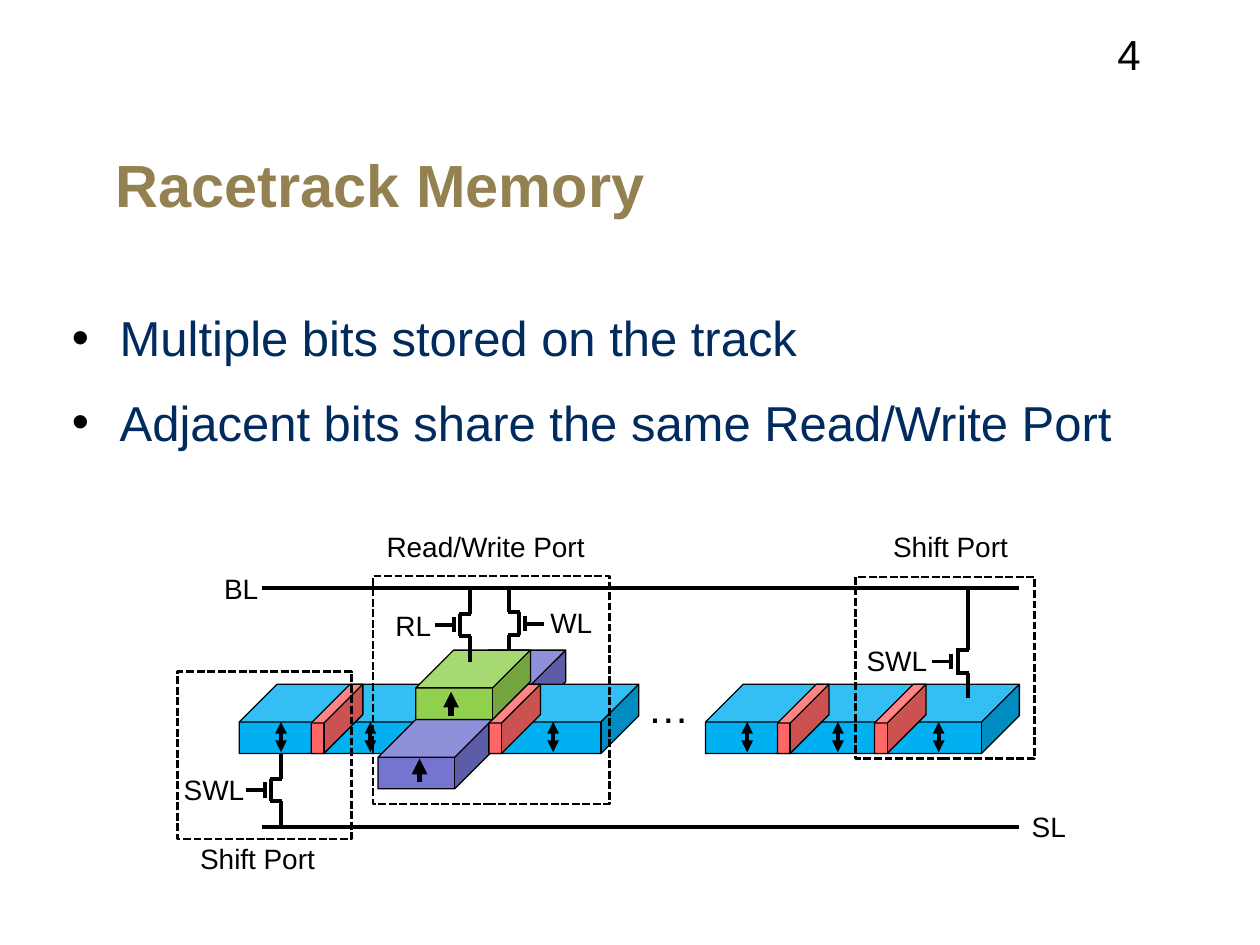
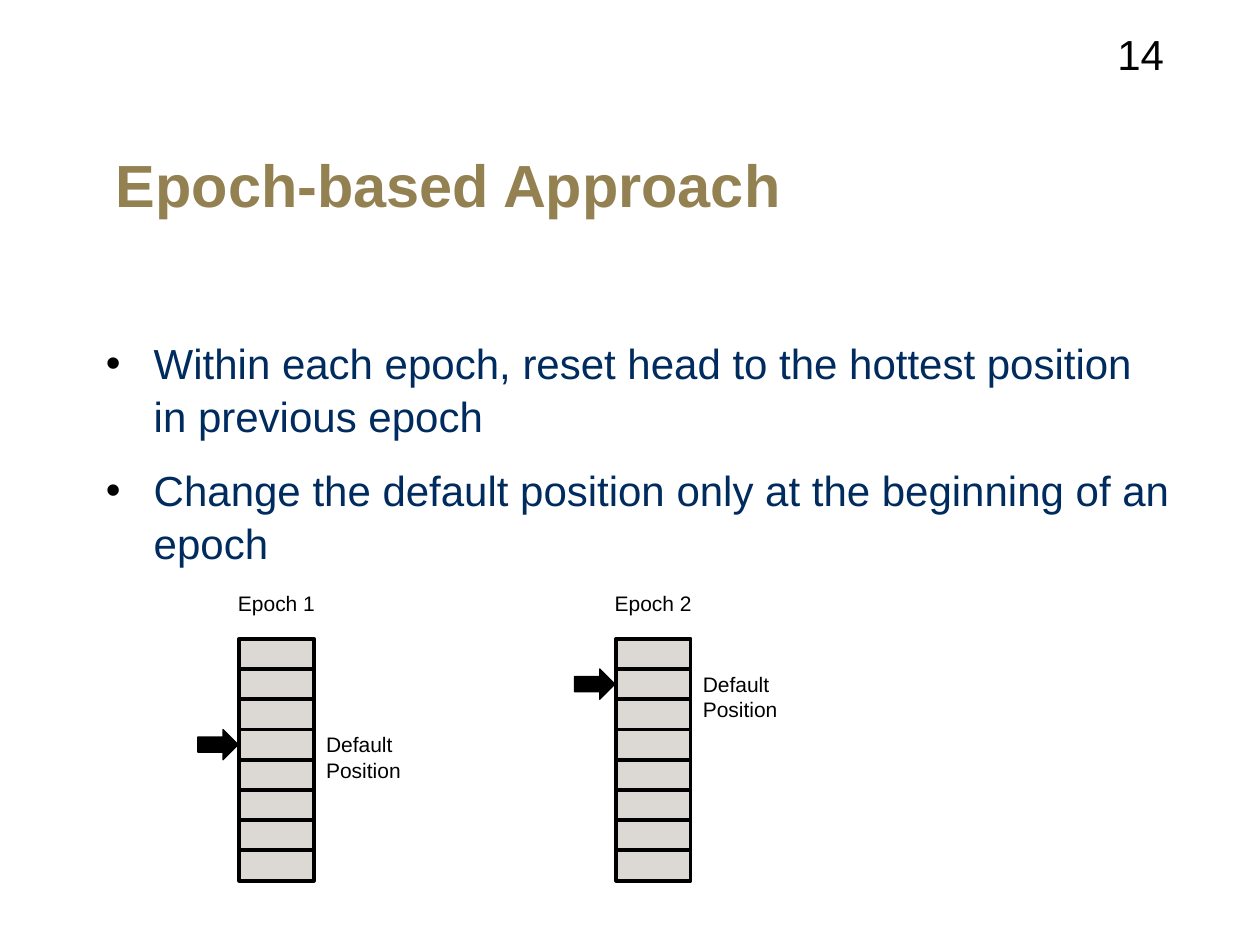
from lxml import etree
from pptx import Presentation
from pptx.dml.color import RGBColor
from pptx.enum import dml, shapes, text
from pptx.oxml import ns
from pptx.util import Inches, Pt

FONT = "Arial"
BLACK = RGBColor(0x00, 0x00, 0x00)
GOLD = RGBColor(0x94, 0x81, 0x51)
NAVY = RGBColor(0x00, 0x2B, 0x5E)
TRACK_BLUE = RGBColor(0x00, 0xB0, 0xF0)
WALL_RED = RGBColor(0xFF, 0x66, 0x66)
PIN_PURPLE = RGBColor(0x75, 0x75, 0xD1)
FREE_GREEN = RGBColor(0x92, 0xD0, 0x50)
CELL_GRAY = RGBColor(0xDC, 0xD8, 0xD4)

BLOCK_HEIGHT = 0.55
CELL_WIDTH, CELL_HEIGHT, CELL_COUNT = 0.59, 0.24, 8


def add_xml(parent, tag, **attributes):
    return etree.SubElement(parent, ns.qn(tag), attributes)


class Deck:
    """Holds the shared style and the slide being drawn."""

    def __init__(self):
        self.presentation = Presentation()
        self.presentation.slide_width = Inches(10)
        self.presentation.slide_height = Inches(7.5)
        self.slide = None

    def start_slide(self, heading, number):
        layout = self.presentation.slide_layouts[1]
        self.slide = self.presentation.slides.add_slide(layout)
        title = self.slide.shapes.title
        self.place(title, 0.82, 1, 8.67, 0.92)
        frame = title.text_frame
        frame.vertical_anchor = text.MSO_ANCHOR.MIDDLE
        frame.auto_size = text.MSO_AUTO_SIZE.NONE
        frame.paragraphs[0].alignment = text.PP_ALIGN.LEFT
        self.add_run(frame.paragraphs[0], heading, 34, GOLD, bold=True)
        self.label(str(number), 8.77, 0.18, 1.72, 0.5, size=24)

    @staticmethod
    def place(shape, left, top, width, height):
        shape.left, shape.top = Inches(left), Inches(top)
        shape.width, shape.height = Inches(width), Inches(height)

    @staticmethod
    def add_run(paragraph, words, size, color, bold=False):
        run = paragraph.add_run()
        run.text = words
        run.font.name, run.font.size, run.font.bold = FONT, Pt(size), bold
        run.font.color.rgb = color

    def bullets(self, items, left, top, height, size, before):
        body = self.slide.placeholders[1]
        self.place(body, left, top, 8.67, height)
        frame = body.text_frame
        frame.auto_size = text.MSO_AUTO_SIZE.NONE
        for index, item in enumerate(items):
            paragraph = frame.add_paragraph() if index else frame.paragraphs[0]
            self.add_run(paragraph, item, size, NAVY)
            properties = paragraph._p.get_or_add_pPr()
            properties.set("marL", str(Inches(0.38)))
            properties.set("indent", str(-Inches(0.38)))
            bullet_color = add_xml(properties, "a:buClr")
            add_xml(bullet_color, "a:srgbClr", val=str(BLACK))
            add_xml(properties, "a:buFont", typeface=FONT)
            add_xml(properties, "a:buChar", char="•")
            paragraph.line_spacing = 1.05
            paragraph.space_before, paragraph.space_after = Pt(before), Pt(6)

    def label(self, words, left, top, width, height=0.37, size=16):
        box = self.slide.shapes.add_textbox(
            Inches(left), Inches(top), Inches(width), Inches(height))
        frame = box.text_frame
        frame.word_wrap = False
        frame.auto_size = text.MSO_AUTO_SIZE.SHAPE_TO_FIT_TEXT
        self.add_run(frame.paragraphs[0], words, size, BLACK)

    def shape(self, preset, left, top, width, height, fill=None, line=0.75):
        shape = self.slide.shapes.add_shape(
            preset, Inches(left), Inches(top), Inches(width), Inches(height))
        shape.shadow.inherit = False
        if fill is None:
            shape.fill.background()
        else:
            shape.fill.solid()
            shape.fill.fore_color.rgb = fill
        shape.line.color.rgb = BLACK
        shape.line.width = Pt(line)
        return shape

    def block(self, left, top, width, fill, depth=0.545):
        cube = self.shape(shapes.MSO_SHAPE.CUBE, left, top, width, BLOCK_HEIGHT, fill)
        cube.adjustments[0] = depth

    def wall(self, left):
        self.block(left, 5.43, 0.41, WALL_RED, depth=0.754)

    def port_frame(self, left, top, width, height):
        frame = self.shape(shapes.MSO_SHAPE.RECTANGLE, left, top, width, height, line=1.5)
        frame.line.dash_style = dml.MSO_LINE.SQUARE_DOT

    def line(self, x1, y1, x2, y2, width=2.25, ends=()):
        wire = self.slide.shapes.add_connector(
            shapes.MSO_CONNECTOR.STRAIGHT,
            Inches(x1), Inches(y1), Inches(x2), Inches(y2))
        wire.line.color.rgb = BLACK
        wire.line.width = Pt(width)
        outline = wire.line._get_or_add_ln()
        for end in ends:
            add_xml(outline, end, type="triangle")
        add_xml(wire._element.spPr, "a:effectLst")

    def bit(self, x):
        self.line(x, 5.97, x, 5.73, ends=("a:headEnd", "a:tailEnd"))

    def fixed_bit(self, x, bottom):
        self.line(x, bottom, x, bottom - 0.19, width=3, ends=("a:tailEnd",))

    def transistor(self, x, top, channel_top, bottom, side=-1):
        """Draw a vertical transistor with its gate left (-1) or right (1)."""
        channel_bottom = channel_top + 0.18
        channel, gate = x + side * 0.08, x + side * 0.13
        middle = channel_top + 0.09
        self.line(x, top, x, channel_top)
        self.line(x, bottom, x, channel_bottom)
        for y in (channel_top, channel_bottom):
            self.line(channel + side * 0.01, y, x - side * 0.01, y)
        self.line(channel, channel_top, channel, channel_bottom)
        self.line(gate, middle - 0.06, gate, middle + 0.06)
        self.line(gate, middle, gate + side * 0.15, middle)

    def epoch(self, name, left, default_row):
        """Draw one epoch's column of cells and mark its default position."""
        top = 5.07
        for row in range(CELL_COUNT):
            self.shape(shapes.MSO_SHAPE.RECTANGLE, left, top + row * CELL_HEIGHT,
                       CELL_WIDTH, CELL_HEIGHT, CELL_GRAY, line=2.25)
        head_top = top + default_row * CELL_HEIGHT
        self.shape(shapes.MSO_SHAPE.RIGHT_ARROW, left - 0.33, head_top,
                   0.32, CELL_HEIGHT, BLACK)
        self.label("Default Position", left + CELL_WIDTH, head_top - 0.03, 1.36, 0.3, 12)
        self.label(name, left - 0.11, 4.64, 0.81, 0.3, 12)


def racetrack_slide(deck):
    deck.start_slide("Racetrack Memory", 4)
    deck.bullets(["Multiple bits stored on the track",
                  "Adjacent bits share the same Read/Write Port"],
                 0.47, 2.37, 1.68, size=28, before=7)

    # Left track, crossed by the fixed layers
    deck.block(3.58, 5.16, 0.91, PIN_PURPLE)
    deck.block(1.9, 5.43, 3.17, TRACK_BLUE)
    for x in (2.23, 2.94, 4.39):
        deck.bit(x)
    deck.block(3, 5.71, 0.91, PIN_PURPLE)
    deck.fixed_bit(3.33, 6.21)
    for left in (3.88, 2.47):
        deck.wall(left)

    # Right track
    deck.block(5.6, 5.43, 2.49, TRACK_BLUE)
    for left in (6.94, 6.17):
        deck.wall(left)
    for x in (5.93, 6.65, 7.45):
        deck.bit(x)

    # Bit line, source line and access transistors
    for y in (4.67, 6.56):
        deck.line(2.08, y, 8.09, y)
    deck.transistor(2.23, 5.98, 6.18, 6.56)
    deck.transistor(7.68, 4.67, 5.16, 5.54)
    deck.transistor(4.04, 4.67, 4.86, 5.24, side=1)
    deck.block(3.3, 5.16, 0.91, FREE_GREEN)
    deck.fixed_bit(3.58, 5.68)
    deck.transistor(3.73, 4.67, 4.87, 5.25)

    # Port outlines and labels
    deck.port_frame(1.41, 5.33, 1.38, 1.33)
    deck.port_frame(6.79, 4.58, 1.42, 1.44)
    deck.port_frame(2.96, 4.57, 1.88, 1.81)
    for words, left, top, width in (
            ("BL", 1.68, 4.49, 0.47), ("SL", 8.09, 6.38, 0.47),
            ("SWL", 6.78, 5.06, 0.68), ("SWL", 1.36, 6.08, 0.68),
            ("RL", 3.04, 4.78, 0.48), ("WL", 4.27, 4.76, 0.53),
            ("Read/Write Port", 2.97, 4.15, 1.77),
            ("Shift Port", 1.49, 6.63, 1.11), ("Shift Port", 6.99, 4.15, 1.11)):
        deck.label(words, left, top, width)
    deck.label("…", 5.04, 5.36, 0.53, 0.5, size=24)


def epoch_slide(deck):
    deck.start_slide("Epoch-based Approach", 14)
    deck.bullets(["Within each epoch, reset head to the hottest position in previous epoch",
                  "Change the default position only at the beginning of an epoch"],
                 0.74, 2.61, 1.89, size=24, before=6)
    deck.epoch("Epoch 1", 1.9, default_row=3)
    deck.epoch("Epoch 2", 4.89, default_row=1)


def main():
    deck = Deck()
    racetrack_slide(deck)
    epoch_slide(deck)
    deck.presentation.save("out.pptx")


if __name__ == "__main__":
    main()
